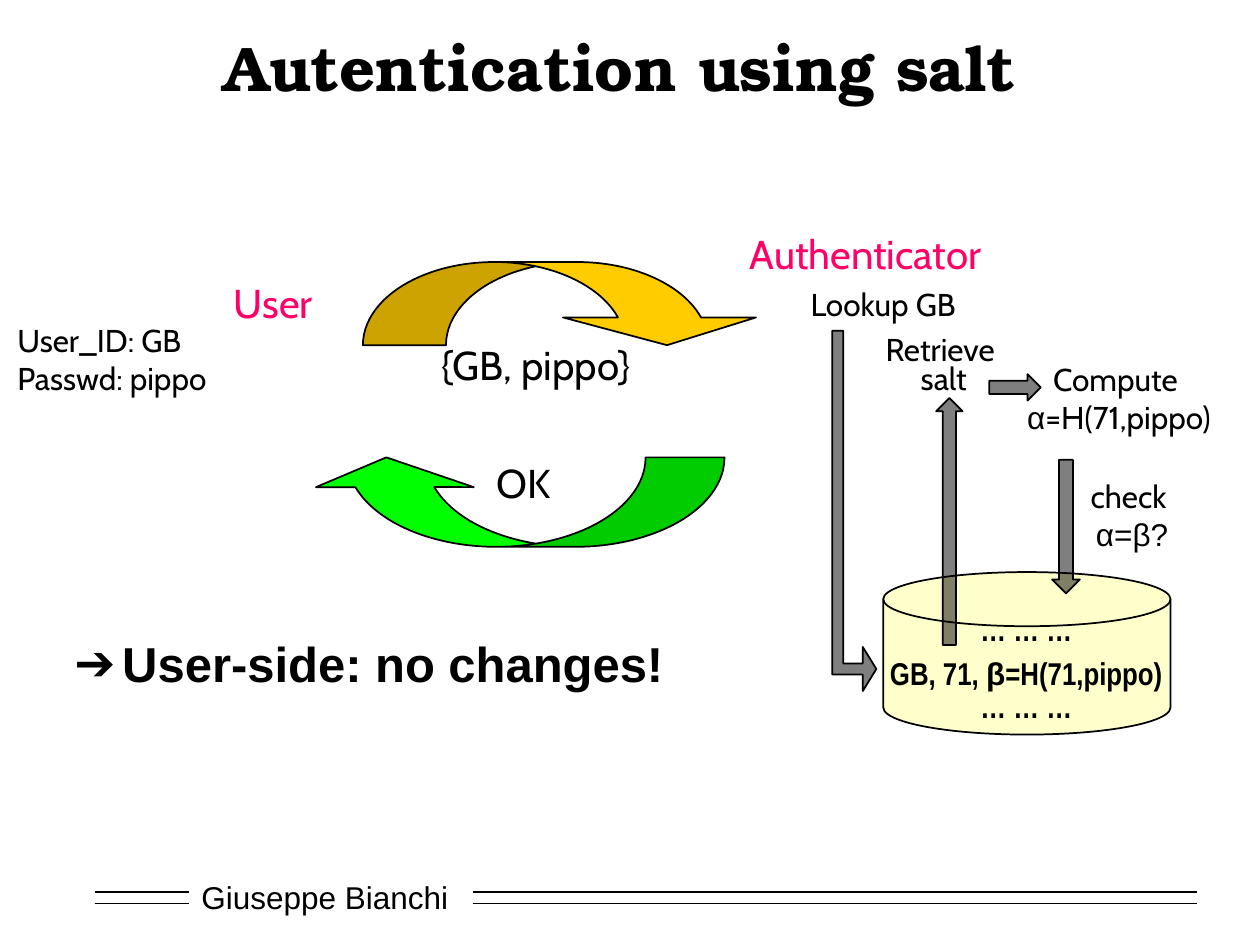
from pptx import Presentation
from pptx.dml.color import RGBColor
from pptx.enum.shapes import MSO_CONNECTOR, MSO_SHAPE as SHAPE
from pptx.enum.text import MSO_ANCHOR, MSO_AUTO_SIZE, PP_ALIGN as ALIGN
from pptx.oxml.ns import qn
from pptx.util import Inches, Pt
from lxml.etree import SubElement

BLACK = RGBColor(0x00, 0x00, 0x00)
WHITE = RGBColor(0xFF, 0xFF, 0xFF)
PINK = RGBColor(0xFF, 0x00, 0x66)
GOLD = RGBColor(0xFF, 0xCC, 0x00)
GREEN = RGBColor(0x00, 0xFF, 0x00)
CREAM = RGBColor(0xFF, 0xFF, 0x99)
SANS, NARROW, CABIN, SERIF = "Arial", "Arial Narrow", "Cabin", "TeX Gyre Bonum"

TITLE = "Autentication using salt"
POINT = "User-side: no changes!"
AUTHOR = "Giuseppe Bianchi"

RULE_SPANS = [(0.75, 1.5), (3.75, 9.5)]
RULE_ROWS = [7.08, 7.17]

EXCHANGE_ARROWS = [
    (SHAPE.CURVED_DOWN_ARROW, (2.88, 2.08, 3.18, 0.66), GOLD, (1.161, 2.322, 0.333), ""),
    (SHAPE.CURVED_UP_ARROW, (2.44, 3.63, 3.31, 0.71), GREEN, (0.882, 1.764, 0.333), "H"),
]
STEP_ARROWS = [
    (SHAPE.BENT_UP_ARROW, (5.35, 3.88, 2.86, 0.35), (0.25, 0.5, 0.308), "", 90),
    (SHAPE.DOWN_ARROW, (7.43, 3.16, 0.21, 1.96), (), "V", 0),
    (SHAPE.DOWN_ARROW, (7.95, 2.87, 0.21, 0.41), (), "HV", 90),
    (SHAPE.DOWN_ARROW, (8.35, 3.65, 0.22, 1.06), (), "", 0),
]
HEADINGS = [
    ("{GB, pippo}", (2.87, 2.65, 2.77, 0.49), BLACK),
    ("OK", (3.78, 3.59, 0.75, 0.49), BLACK),
    ("User", (1.36, 2.16, 1.62, 0.49), PINK),
    ("Authenticator", (5.79, 1.77, 2.16, 0.49), PINK),
]
STEPS = [
    ((6.26, 2.21, 1.5, 0.4), [[("Lookup GB", CABIN)]], None),
    ((6.85, 2.63, 1.28, 0.58), [[("Retrieve ", CABIN)], [("salt", CABIN)]], 17),
    ((7.92, 2.81, 1.92, 0.71),
     [[("Compute ", CABIN)], [("α", SANS), ("=H(71,pippo)", CABIN)]], None),
    ((8.47, 3.74, 1.03, 0.71), [[("check ", CABIN)], [("α=β?", SANS)]], None),
]
CREDENTIALS = ["User_ID: GB", "Passwd: pippo"]
RECORDS = [
    [("… … …", NARROW)],
    [("GB, 71, ", NARROW), ("β", SANS), ("=H(71,pippo)", NARROW)],
    [("… … …", NARROW)],
]


def box(at):
    return [Inches(v) for v in at]


def add_run(p, text, size, font, color=BLACK, bold=False):
    r = p.add_run()
    r.text = text
    r.font.size, r.font.name, r.font.bold = Pt(size), font, bold
    r.font.color.rgb = color


def add_text(parent, at, wrap=True):
    tf = parent.add_textbox(*box(at)).text_frame
    tf.word_wrap = wrap
    return tf


def add_shape(parent, kind, at, fill, adj=(), flip="", rotation=0, alpha=None):
    sp = parent.add_shape(kind, *box(at))
    sp.shadow.inherit = False
    sp.fill.solid()
    sp.fill.fore_color.rgb = fill
    sp.line.color.rgb = BLACK
    sp.line.width = Pt(1)
    sp.rotation = rotation
    for i, value in enumerate(adj):
        sp.adjustments[i] = value
    spPr = sp._element.spPr
    for axis in flip:
        spPr.xfrm.set("flip" + axis, "1")
    if alpha:
        clr = spPr.find(qn("a:solidFill")).find(qn("a:srgbClr"))
        SubElement(clr, qn("a:alpha")).set("val", str(alpha * 1000))
    return sp


def place(sp, at):
    sp.left, sp.top, sp.width, sp.height = box(at)
    tf = sp.text_frame
    tf.auto_size = MSO_AUTO_SIZE.NONE
    return tf


def add_footer(shapes):
    sp = add_shape(shapes, SHAPE.RECTANGLE, (1.5, 6.92, 2.17, 0.4), WHITE)
    sp.line.fill.background()
    tf = sp.text_frame
    tf.vertical_anchor = MSO_ANCHOR.MIDDLE
    p = tf.paragraphs[0]
    p.alignment = ALIGN.LEFT
    add_run(p, AUTHOR, 18, SANS)
    for y in RULE_ROWS:
        for x1, x2 in RULE_SPANS:
            line = shapes.add_connector(MSO_CONNECTOR.STRAIGHT, *box((x1, y, x2, y)))
            line.line.color.rgb = BLACK
            line.line.width = Pt(1)
            SubElement(line._element.spPr, qn("a:effectLst"))


def add_database(shapes):
    group = shapes.add_group_shape().shapes
    add_shape(group, SHAPE.FLOWCHART_MAGNETIC_DISK, (7.01, 4.54, 2.28, 1.29), CREAM, alpha=50)
    tf = add_text(group, (6.96, 4.83, 2.37, 0.98), wrap=False)
    for i, record in enumerate(RECORDS):
        p = tf.add_paragraph() if i else tf.paragraphs[0]
        p.alignment = ALIGN.CENTER
        p.line_spacing = Pt(19)
        p.space_after = Pt(0 if i else 6)
        for text, font in record:
            add_run(p, text, 18, font, bold=True)


def main():
    prs = Presentation()
    prs.slide_width, prs.slide_height = Inches(10), Inches(7.5)
    s = prs.slides.add_slide(prs.slide_layouts[1])
    shapes = s.shapes

    tf = place(shapes.title, (0.71, 0.17, 8.42, 0.71))
    tf.vertical_anchor = MSO_ANCHOR.MIDDLE
    p = tf.paragraphs[0]
    p.alignment = ALIGN.CENTER
    add_run(p, TITLE, 36, SERIF, bold=True)

    p = place(s.placeholders[1], (0.49, 4.98, 5.16, 0.79)).paragraphs[0]
    pPr = p._p.get_or_add_pPr()
    pPr.set("marL", str(Inches(0.38)))
    pPr.set("indent", str(-Inches(0.38)))
    SubElement(SubElement(pPr, qn("a:buClr")), qn("a:srgbClr")).set("val", str(BLACK))
    SubElement(pPr, qn("a:buChar")).set("char", "➔")
    p.space_before = Pt(0)
    add_run(p, POINT, 28, SANS, bold=True)

    add_footer(shapes)
    for kind, at, fill, adj, flip in EXCHANGE_ARROWS:
        add_shape(shapes, kind, at, fill, adj, flip)
    for text, at, color in HEADINGS:
        p = add_text(shapes, at).paragraphs[0]
        p.alignment = ALIGN.CENTER
        add_run(p, text, 23, CABIN, color)

    tf = add_text(shapes, (0.04, 2.5, 1.97, 0.71))
    for i, text in enumerate(CREDENTIALS):
        p = tf.add_paragraph() if i else tf.paragraphs[0]
        add_run(p, text, 18, CABIN)

    add_database(shapes)
    for at, lines, spacing in STEPS:
        p = add_text(shapes, at).paragraphs[0]
        p.alignment = ALIGN.CENTER
        if spacing:
            p.line_spacing = Pt(spacing)
        for i, runs in enumerate(lines):
            if i:
                p.add_line_break()
            for text, font in runs:
                add_run(p, text, 18, font)
    for kind, at, adj, flip, rotation in STEP_ARROWS:
        add_shape(shapes, kind, at, BLACK, adj, flip, rotation, alpha=50)

    prs.save("out.pptx")


if __name__ == "__main__":
    main()
